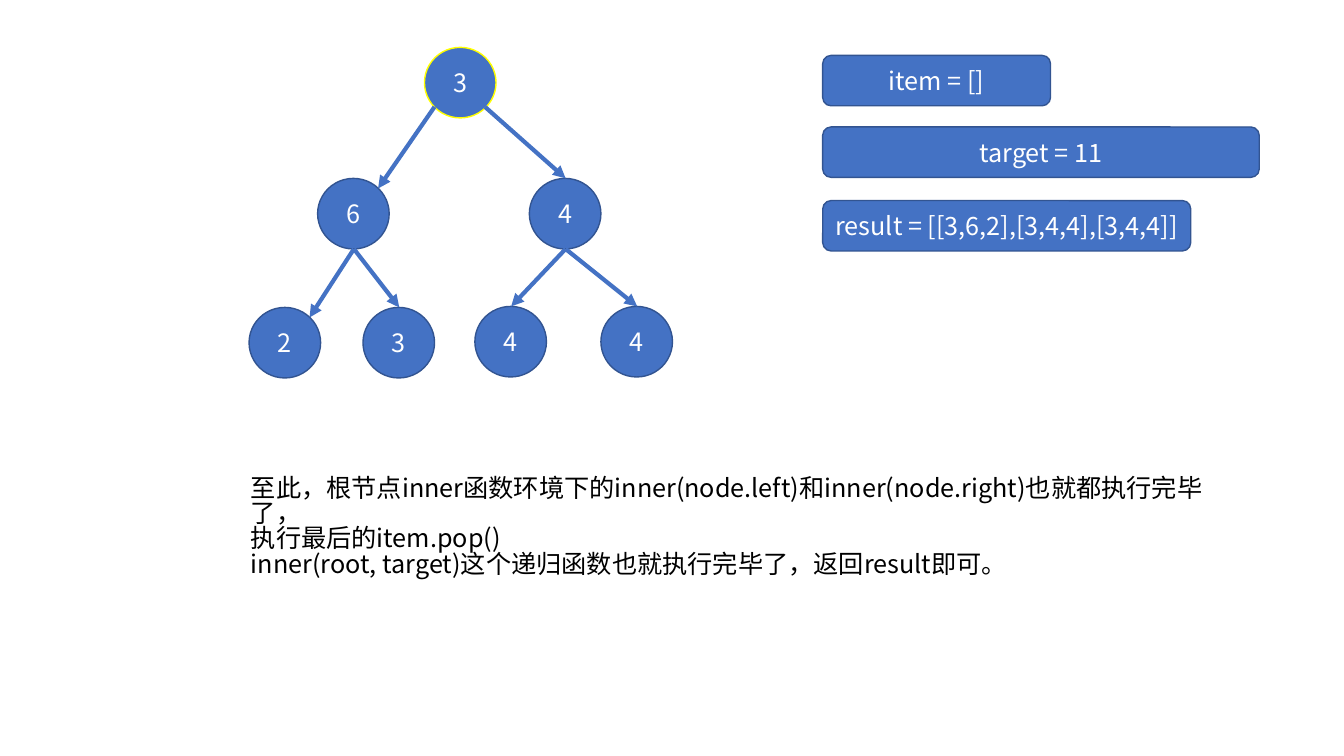
from lxml.etree import SubElement
from pptx import Presentation
from pptx.dml.color import RGBColor
from pptx.enum.shapes import MSO_CONNECTOR, MSO_SHAPE
from pptx.enum.text import MSO_ANCHOR, MSO_AUTO_SIZE, PP_ALIGN
from pptx.oxml.ns import qn
from pptx.util import Pt

PX = 9144  # 100 px to the inch
FONT = "Noto Sans CJK SC"
HEX = {"blue": "4472C4", "edge": "325491", "mark": "FFFF00",
       "white": "FFFFFF", "black": "000000"}
RGB = {name: RGBColor.from_string(code) for name, code in HEX.items()}


def style(frame, color):
    """Set the font of every run in a text frame."""
    for para in frame.paragraphs:
        for run in para.runs:
            run.font.size = Pt(18)
            run.font.name = FONT
            run.font.color.rgb = RGB[color]
            SubElement(run.font._element, qn("a:ea"), typeface=FONT)


def add_box(kind, x, y, w, h, text, edge="edge"):
    """Add a blue shape with centred white text."""
    box = slide.shapes.add_shape(kind, x * PX, y * PX, w * PX, h * PX)
    box.shadow.inherit = False
    box.fill.solid()
    box.fill.fore_color.rgb = RGB["blue"]
    box.line.color.rgb = RGB[edge]
    box.line.width = Pt(1)
    frame = box.text_frame
    frame.text = text
    frame.word_wrap = False
    frame.vertical_anchor = MSO_ANCHOR.MIDDLE
    frame.paragraphs[0].alignment = PP_ALIGN.CENTER
    style(frame, "white")
    return box


deck = Presentation()
deck.slide_width = 1333 * PX
deck.slide_height = 750 * PX
slide = deck.slides.add_slide(deck.slide_layouts[6])

# Tree nodes: left, top, value, outline
nodes = [
    (421, 47, "3", "mark"),
    (315, 177, "6", "edge"),
    (525, 177, "4", "edge"),
    (360, 305, "3", "edge"),
    (247, 305, "2", "edge"),
    (596, 304, "4", "edge"),
    (471, 304, "4", "edge"),
]
balls = [add_box(MSO_SHAPE.OVAL, x, y, 71, 70, value, edge)
         for x, y, value, edge in nodes]

# Arrows: parent, its site, child, its site
# Oval sites run counterclockwise from the top, in eighths
links = [
    (0, 3, 1, 7),
    (1, 4, 4, 7),
    (1, 4, 3, 0),
    (0, 5, 2, 0),
    (2, 4, 6, 0),
    (2, 4, 5, 0),
]
ends = {0: (36, 0), 3: (10, 59), 4: (36, 70), 5: (60, 59), 7: (60, 10)}
for top, start, low, stop in links:
    (x1, y1), (x2, y2) = [
        (nodes[node][0] + ends[site][0], nodes[node][1] + ends[site][1])
        for node, site in ((top, start), (low, stop))]
    arrow = slide.shapes.add_connector(
        MSO_CONNECTOR.STRAIGHT, x1 * PX, y1 * PX, x2 * PX, y2 * PX)
    arrow.line.color.rgb = RGB["blue"]
    arrow.line.width = Pt(3)
    SubElement(arrow.line._get_or_add_ln(), qn("a:tailEnd"), type="triangle")
    SubElement(arrow._element.spPr, qn("a:effectLst"))

# Variables: top, width, text
for y, w, text in [
    (55, 226, "item = []"),
    (126, 433, "target = 11"),
    (199, 365, "result = [[3,6,2],[3,4,4],[3,4,4]]"),
]:
    add_box(MSO_SHAPE.ROUNDED_RECTANGLE, 816, y, w, 50, text)

note = slide.shapes.add_textbox(239 * PX, 469 * PX, 977 * PX, 101 * PX)
frame = note.text_frame
frame.word_wrap = True
frame.auto_size = MSO_AUTO_SIZE.SHAPE_TO_FIT_TEXT
frame.text = "\n".join([
    "至此，根节点inner函数环境下的inner(node.left)和inner(node.right)也就都执行完毕了，",
    "执行最后的item.pop()",
    "inner(root, target)这个递归函数也就执行完毕了，返回result即可。",
])
for para in frame.paragraphs:
    para.line_spacing = 0.83
style(frame, "black")

deck.save("out.pptx")
